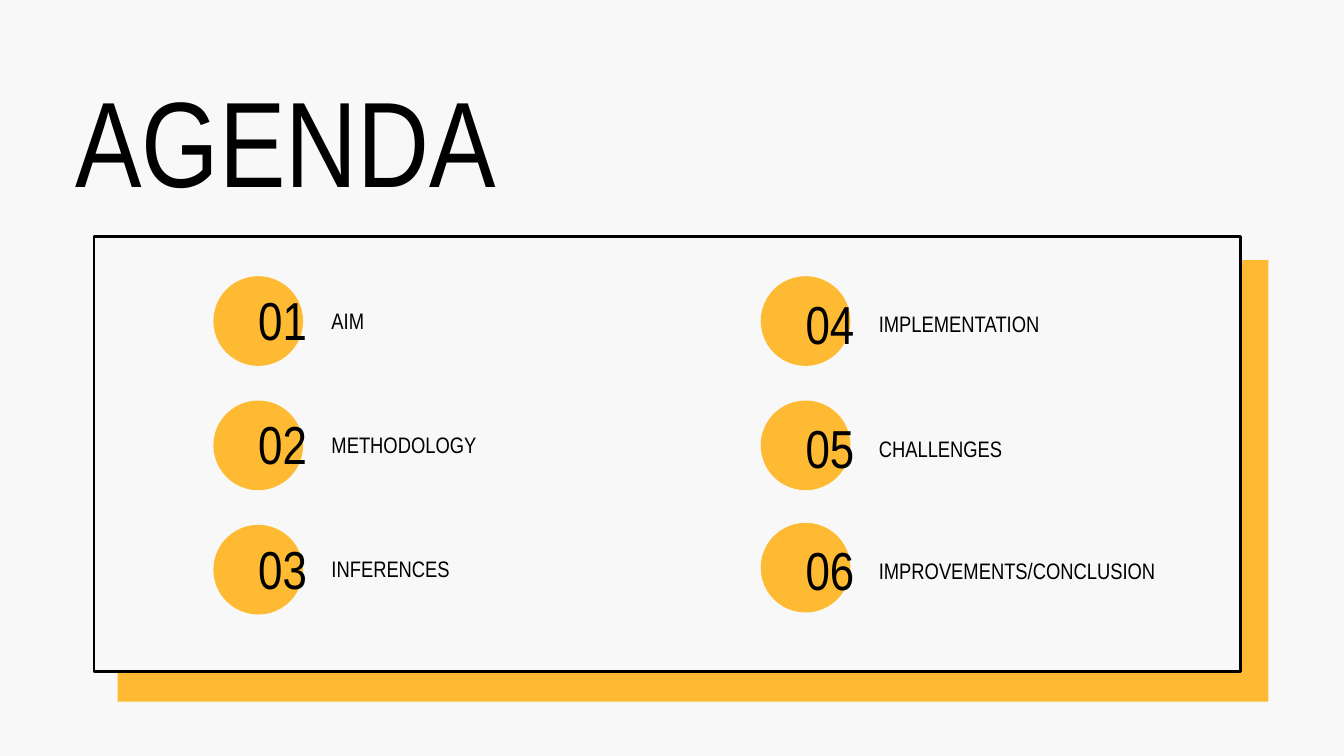
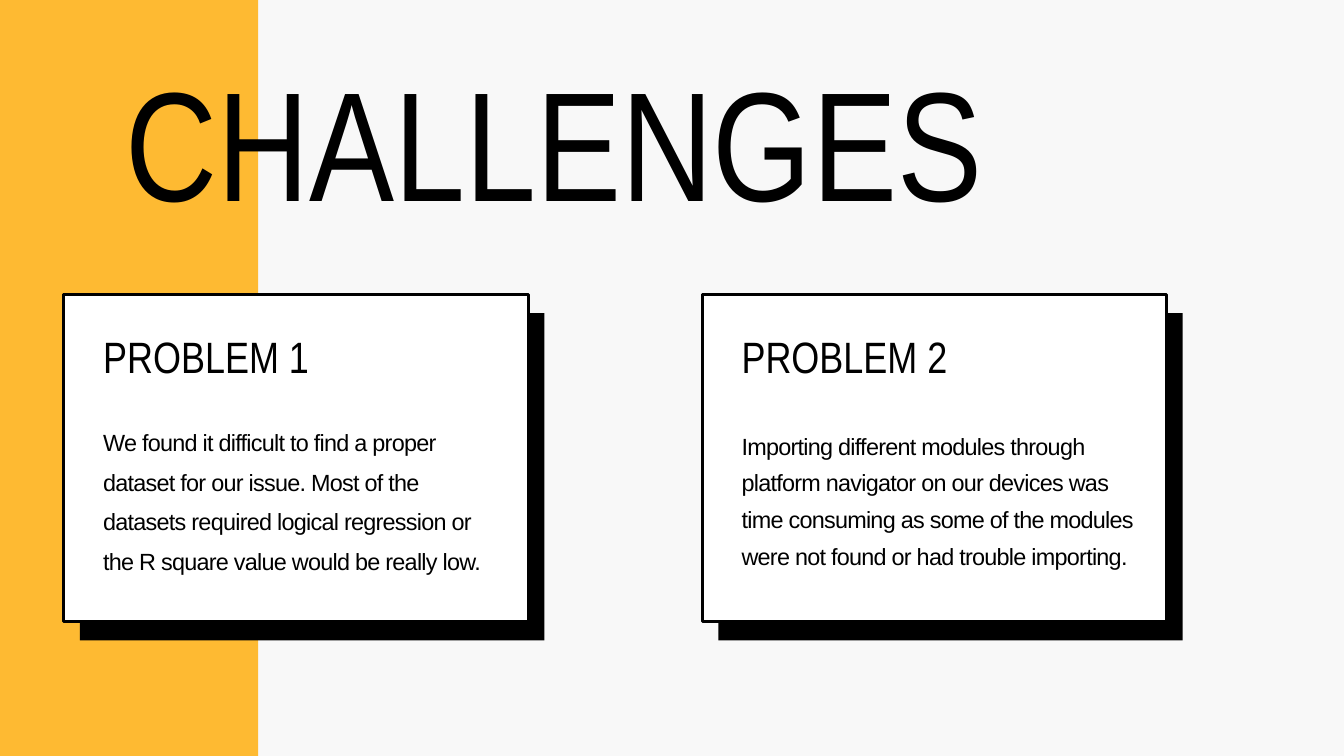
from pptx import Presentation
from pptx.dml.color import RGBColor
from pptx.enum.shapes import MSO_SHAPE
from pptx.enum.text import MSO_AUTO_SIZE
from pptx.util import Inches, Pt

COLORS = {"paper": "F8F8F8", "yellow": "FEBA32", "black": "000000", "white": "FFFFFF"}
COLS, ROWS = 80, 45
FRAME = {
    "margin_left": 0, "margin_top": 0, "margin_right": 0, "margin_bottom": 0,
    "word_wrap": True, "auto_size": MSO_AUTO_SIZE.SHAPE_TO_FIT_TEXT,
}

prs = Presentation()
prs.slide_width, prs.slide_height = Inches(20), Inches(11.25)
col, row = prs.slide_width / COLS, prs.slide_height / ROWS


def add_block(s, kind, x, y, w, h, fill, outlined=False):
    sp = s.shapes.add_shape(kind, int(x * col), int(y * row), int(w * col), int(h * row))
    sp.shadow.inherit = False
    sp.fill.solid()
    sp.fill.fore_color.rgb = RGBColor.from_string(COLORS[fill])
    if outlined:
        sp.line.color.rgb = RGBColor.from_string(COLORS["black"])
        sp.line.width = Pt(3)
    else:
        sp.line.fill.background()


def add_text(s, text, x, y, w, h, size, leading, font="Arial Narrow", spacing=0):
    sp = s.shapes.add_textbox(int(x * col), int(y * row), int(w * col), int(h * row))
    tf = sp.text_frame
    for name, value in FRAME.items():
        setattr(tf, name, value)
    p = tf.paragraphs[0]
    p.line_spacing = Pt(leading)
    r = p.add_run()
    r.text = text
    for name, value in {"name": font, "size": Pt(size)}.items():
        setattr(r.font, name, value)
    r.font.color.rgb = RGBColor.from_string(COLORS["black"])
    if spacing:
        r._r.get_or_add_rPr().set("spc", str(int(spacing * 100)))


slides = []
for _ in range(2):
    s = prs.slides.add_slide(prs.slide_layouts[6])
    s.background.fill.solid()
    s.background.fill.fore_color.rgb = RGBColor.from_string(COLORS["paper"])
    slides.append(s)
agenda, challenges = slides

add_block(agenda, MSO_SHAPE.RECTANGLE, 7, 15.48, 68.5, 26.28, "yellow")
add_block(agenda, MSO_SHAPE.RECTANGLE, 5.6, 14.08, 68.24, 25.88, "paper", outlined=True)
add_text(agenda, "AGENDA", 4.48, 5.6, 34.8, 7.44, 130.2, 126.3)

DOT, DOT_TOP, DOT_PITCH = 5.34, 16.44, 7.4
agenda_columns = [
    (12.7, 0.96, ["AIM", "METHODOLOGY", "INFERENCES"]),
    (45.28, 1.18, ["IMPLEMENTATION", "CHALLENGES", "IMPROVEMENTS/CONCLUSION"]),
]
number = 0
for x, drop, topics in agenda_columns:
    for i, topic in enumerate(topics):
        number += 1
        y = DOT_TOP + i * DOT_PITCH
        if number == 6:
            y -= 0.12
        add_block(agenda, MSO_SHAPE.OVAL, x, y, DOT, DOT, "yellow")
        add_text(agenda, f"{number:02}", x + DOT / 2, y + drop, 5.12, 3.6, 57.3, 63)
        add_text(agenda, topic, x + 7.03, y + drop + 1, 19.4, 1.52, 24, 26.4)

add_block(challenges, MSO_SHAPE.RECTANGLE, 0, 0, 15.36, ROWS, "yellow")

CARD_LEFT, CARD_TOP, CARD_W, CARD_H, CARD_PITCH = 3.8, 17.52, 27.64, 19.48, 38
problems = [
    ("We found it difficult to find a proper dataset for our issue. Most of the "
     "datasets required logical regression or the R square value would be really low.",
     24.8, 23.56, 9.32, 42.5),
    ("Importing different modules through platform navigator on our devices was time "
     "consuming as some of the modules were not found or had trouble importing.",
     25.2, 24.6, 8.64, 39.2),
]
for i, (body, body_top, body_w, body_h, leading) in enumerate(problems):
    x = CARD_LEFT + i * CARD_PITCH
    text_x = x + 2.34
    add_block(challenges, MSO_SHAPE.RECTANGLE, x + 0.96, CARD_TOP + 1.12, CARD_W, CARD_H, "black")
    add_block(challenges, MSO_SHAPE.RECTANGLE, x, CARD_TOP, CARD_W, CARD_H, "white", outlined=True)
    add_text(challenges, f"PROBLEM {i + 1}", text_x, 19.88, 23.56, 2.92, 47, 51.8)
    add_text(challenges, body, text_x, body_top, body_w, body_h, 25.1, leading, "Arial", -0.8)

add_text(challenges, "CHALLENGES", 7.48, 4.84, 56.88, 9.48, 166.6, 161.6)

prs.save("out.pptx")
